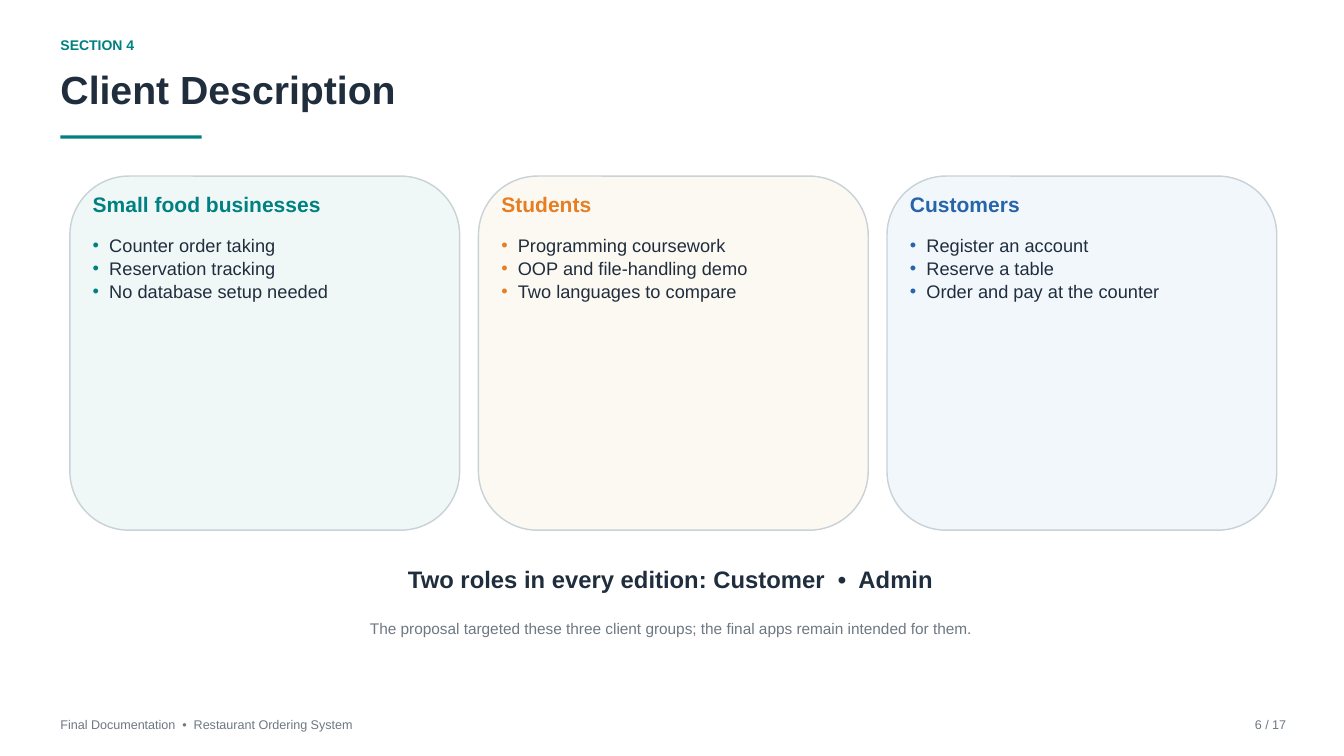
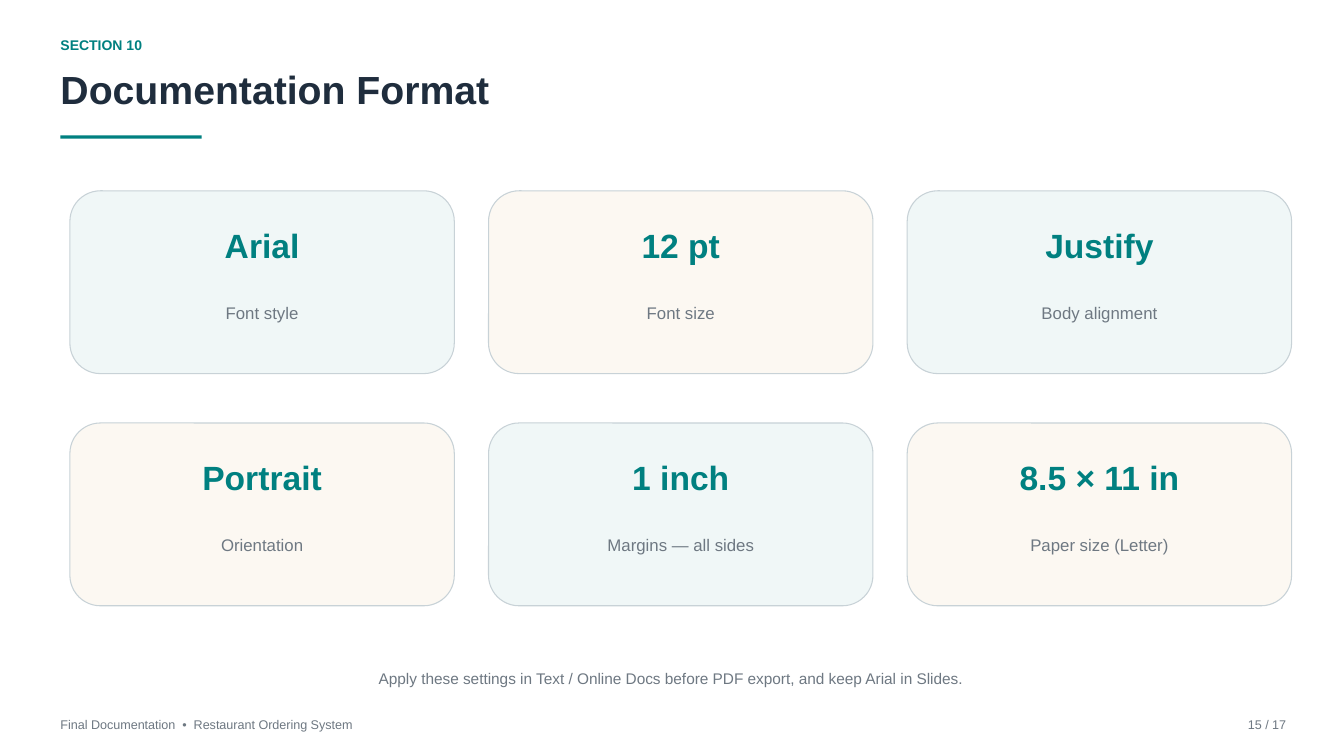
from itertools import product

from lxml.etree import SubElement
from pptx import Presentation
from pptx.dml.color import RGBColor
from pptx.enum.shapes import MSO_SHAPE as Shape
from pptx.enum.text import PP_ALIGN as Align
from pptx.oxml.ns import qn
from pptx.util import Inches, Pt

WIDTH, HEIGHT = Inches(20), Inches(11.25)
FONT = "Arial"
TEAL, ORANGE, BLUE = "008080", "E67E22", "2864AA"
INK, GRAY, BORDER = "1F2D3D", "6E7882", "C8D2D7"
MINT, CREAM, SKY = "F0F7F7", "FCF8F2", "F2F7FC"
MARGIN, CARD_LEFT = 4.5, 5.2
PAGE_COUNT = 17
BULLET_INDENT = Pt(17.67)

CLIENTS = [
    ("Small food businesses", TEAL, MINT,
     ["Counter order taking", "Reservation tracking", "No database setup needed"]),
    ("Students", ORANGE, CREAM,
     ["Programming coursework", "OOP and file-handling demo", "Two languages to compare"]),
    ("Customers", BLUE, SKY,
     ["Register an account", "Reserve a table", "Order and pay at the counter"]),
]

SETTINGS = [
    ("Arial", "Font style"),
    ("12 pt", "Font size"),
    ("Justify", "Body alignment"),
    ("Portrait", "Orientation"),
    ("1 inch", "Margins — all sides"),
    ("8.5 × 11 in", "Paper size (Letter)"),
]


def color(value):
    return RGBColor.from_string(value)


def place(left, top, width, height):
    """Turn percentages of the slide's size into lengths."""
    return (int(WIDTH * left / 100), int(HEIGHT * top / 100),
            int(WIDTH * width / 100), int(HEIGHT * height / 100))


def grid_offsets(start, size, gap, count):
    return [start + index * (size + gap) for index in range(count)]


def add_bullet(paragraph, bullet_color):
    properties = paragraph._p.get_or_add_pPr()
    properties.set("marL", str(BULLET_INDENT))
    properties.set("indent", str(-BULLET_INDENT))
    fill = SubElement(properties, qn("a:buClr"))
    SubElement(fill, qn("a:srgbClr"), val=bullet_color)
    SubElement(properties, qn("a:buFont"), typeface=FONT)
    SubElement(properties, qn("a:buChar"), char="•")


def add_text(slide, text, box, size, ink=INK, bold=False, align=Align.LEFT,
             spacing=1.2, bullet=None):
    frame = slide.shapes.add_textbox(*place(*box)).text_frame
    frame.word_wrap = True
    frame.margin_left = frame.margin_right = 0
    frame.margin_top = frame.margin_bottom = 0
    frame.text = text
    for paragraph in frame.paragraphs:
        paragraph.alignment = align
        paragraph.line_spacing = Pt(size * spacing)
        if bullet:
            add_bullet(paragraph, bullet)
        font = paragraph.font
        font.name, font.size, font.bold = FONT, Pt(size), bold
        font.color.rgb = color(ink)


def add_block(slide, kind, box, fill, line_width=0):
    shape = slide.shapes.add_shape(kind, *place(*box))
    shape.shadow.inherit = False
    shape.fill.solid()
    shape.fill.fore_color.rgb = color(fill)
    if line_width:
        shape.line.color.rgb = color(BORDER)
        shape.line.width = Pt(line_width)
    else:
        shape.line.fill.background()


def add_caption(slide, text, top):
    add_text(slide, text, (5.25, top, 89.3, 4.89), 16.5, GRAY, align=Align.CENTER)


def add_page(presentation, section, title, number):
    slide = presentation.slides.add_slide(presentation.slide_layouts[6])
    slide.background.fill.solid()
    slide.background.fill.fore_color.rgb = color("FFFFFF")
    add_text(slide, f"SECTION {section}", (MARGIN, 4.89, 60, 3.56), 15, TEAL, bold=True)
    add_text(slide, title, (MARGIN, 8.62, 90.8, 8.44), 42, bold=True)
    add_block(slide, Shape.RECTANGLE, (MARGIN, 17.9, 10.5, 0.45), TEAL)
    add_text(slide, "Final Documentation  •  Restaurant Ordering System",
             (MARGIN, 94.84, 67.55, 3.11), 13.5, GRAY)
    add_text(slide, f"{number} / {PAGE_COUNT}", (89.3, 94.84, 6.4, 3.11), 13.5, GRAY,
             align=Align.RIGHT)
    return slide


def add_client_card(slide, left, name, accent, fill, points):
    top, width, padding = 23.29, 29, 1.7
    add_block(slide, Shape.ROUNDED_RECTANGLE, (left, top, width, 46.84), fill, 1.5)
    text_left, text_width = left + padding, width - 2 * padding
    add_text(slide, name, (text_left, top + 2.04, text_width, 4.44), 22.5, accent, bold=True)
    add_text(slide, "\n".join(points), (text_left, top + 7.55, text_width, 37.6), 19.5,
             spacing=1.26, bullet=accent)


def add_setting_card(slide, left, top, width, height, value, label, fill):
    add_block(slide, Shape.ROUNDED_RECTANGLE, (left, top, width, height), fill, 1.13)
    add_text(slide, value, (left, top + 4.49, width, 8.27), 36, TEAL, bold=True,
             align=Align.CENTER)
    add_text(slide, label, (left, top + 14.84, width, 4.89), 18, GRAY, align=Align.CENTER)


def build_clients(presentation):
    slide = add_page(presentation, 4, "Client Description", 6)
    for left, client in zip(grid_offsets(CARD_LEFT, 29, 1.4, 3), CLIENTS):
        add_client_card(slide, left, *client)
    add_text(slide, "Two roles in every edition: Customer  •  Admin",
             (5.25, 74.67, 89.3, 6.13), 25.5, bold=True, align=Align.CENTER)
    add_caption(slide, "The proposal targeted these three client groups; "
                "the final apps remain intended for them.", 81.87)


def build_format(presentation):
    slide = add_page(presentation, 10, "Documentation Format", 15)
    width, height = 28.6, 24.18
    rows = grid_offsets(25.24, height, 6.53, 2)
    columns = grid_offsets(CARD_LEFT, width, 2.55, 3)
    for index, ((top, left), setting) in enumerate(zip(product(rows, columns), SETTINGS)):
        fill = CREAM if index % 2 else MINT
        add_setting_card(slide, left, top, width, height, *setting, fill)
    add_caption(slide, "Apply these settings in Text / Online Docs before PDF export, "
                "and keep Arial in Slides.", 88.53)


def main():
    presentation = Presentation()
    presentation.slide_width, presentation.slide_height = WIDTH, HEIGHT
    build_clients(presentation)
    build_format(presentation)
    presentation.save("out.pptx")


if __name__ == "__main__":
    main()
